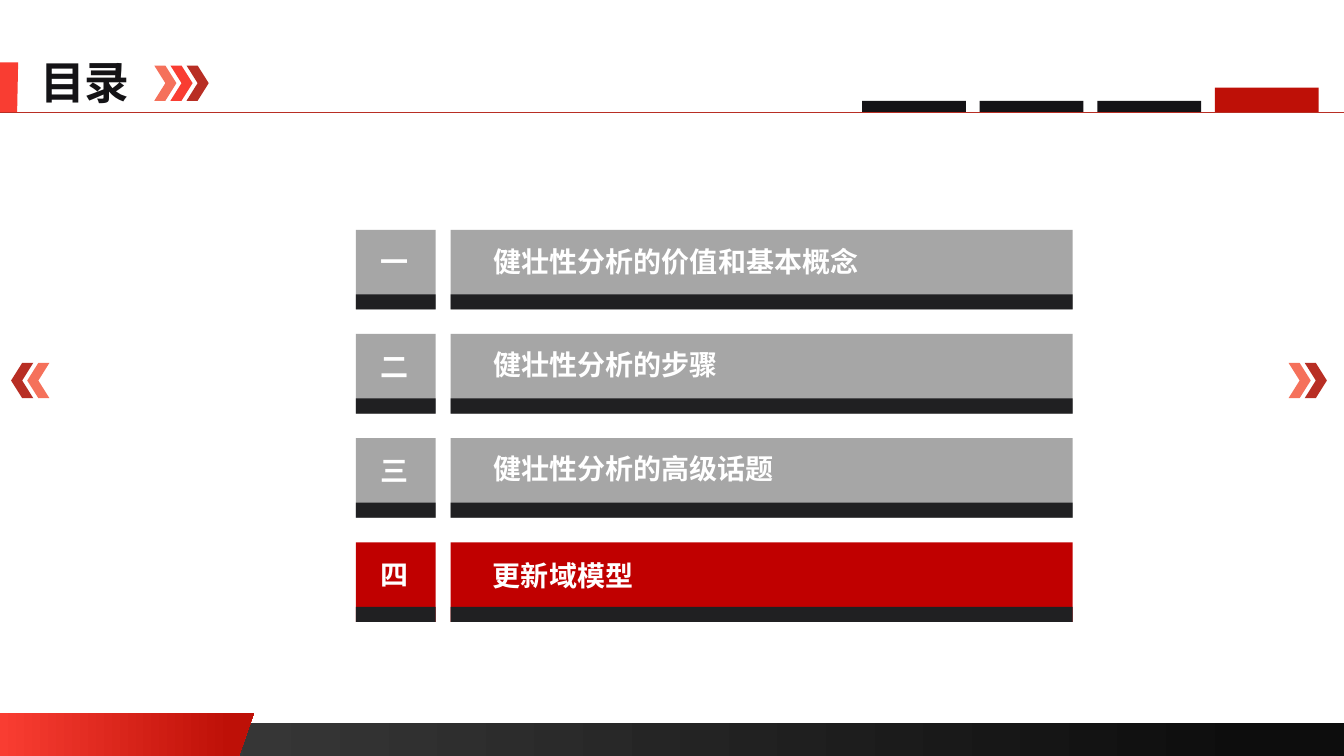
"""Build the contents slide with its fourth section highlighted."""
from dataclasses import dataclass

from lxml import etree
from pptx import Presentation
from pptx.dml.color import RGBColor
from pptx.enum.shapes import MSO_CONNECTOR, MSO_SHAPE
from pptx.enum.text import MSO_AUTO_SIZE, PP_ALIGN
from pptx.oxml.ns import qn
from pptx.util import Inches, Pt

RECTANGLE = MSO_SHAPE.RECTANGLE
CHEVRON = MSO_SHAPE.CHEVRON
STRAIGHT = MSO_CONNECTOR.STRAIGHT
CENTER = PP_ALIGN.CENTER
LEFT = PP_ALIGN.LEFT
GROW = MSO_AUTO_SIZE.SHAPE_TO_FIT_TEXT

FONT = "Noto Sans CJK SC"
PAGE_WIDTH, PAGE_HEIGHT = 13.33, 7.5
COLORS = {
    "white": "FFFFFF",
    "ink": "141316",
    "base": "202022",
    "gray": "A6A6A6",
    "active": "C00000",
    "coral": "F5715B",
    "red": "F93D32",
    "brick": "B82E24",
    "crimson": "BE1007",
    "charcoal": "404040",
    "black": "0D0D0D",
}


@dataclass(frozen=True)
class Section:
    number: str
    title: str
    title_top: float
    color: str = "gray"


@dataclass(frozen=True)
class ChevronRow:
    left: float
    top: float
    colors: tuple[str, ...]
    rotation: int = 0


SECTIONS = (
    Section("一", "健壮性分析的价值和基本概念", 2.38),
    Section("二", "健壮性分析的步骤", 3.4),
    Section("三", "健壮性分析的高级话题", 4.43),
    Section("四", "更新域模型", 5.49, "active"),
)
CHEVRON_ROWS = (
    ChevronRow(1.53, 0.65, ("coral", "red", "brick")),
    ChevronRow(12.78, 3.6, ("coral", "brick")),
    ChevronRow(0.11, 3.6, ("brick", "coral"), 180),
)
CHEVRON_STEP = 0.16
SECTION_TOP, SECTION_STEP = 2.28, 3.1 / 3
SECTION_COLUMNS = ((3.53, 0.79), (4.47, 6.17))
TAB_LEFT, TAB_STEP, TAB_WIDTH = 8.55, 3.5 / 3, 1.03
TAB_BOTTOM = 1.11


def rgb(name: str) -> RGBColor:
    """Return the named colour."""
    return RGBColor.from_string(COLORS[name])


def paint(shape, color: str) -> None:
    """Give a shape a plain fill without outline or shadow."""
    shape.shadow.inherit = False
    shape.line.fill.background()
    shape.fill.solid()
    shape.fill.fore_color.rgb = rgb(color)


def paint_gradient(shape, first: str, last: str, end: float) -> None:
    """Give a shape a left-to-right gradient that finishes at end."""
    paint(shape, first)
    shape.fill.gradient()
    shape.fill.gradient_angle = 0
    for stop, color, position in zip(shape.fill.gradient_stops, (first, last), (0, end)):
        stop.color.rgb = rgb(color)
        stop.position = position


def add_block(page, left: float, top: float, width: float, height: float,
              color: str, kind=RECTANGLE):
    """Add a filled preset shape."""
    block = page.shapes.add_shape(
        kind, Inches(left), Inches(top), Inches(width), Inches(height))
    paint(block, color)
    return block


def add_outline(page, points: tuple[tuple[float, float], ...], color: str):
    """Add a filled polygon."""
    corners = [(Inches(x), Inches(y)) for x, y in points]
    builder = page.shapes.build_freeform(*corners[0])
    builder.add_line_segments(corners[1:], close=True)
    outline = builder.convert_to_shape()
    paint(outline, color)
    return outline


def add_label(page, text: str, left: float, top: float, width: float, height: float,
              size: int = 20, color: str = "white", align=CENTER) -> None:
    """Add a bold single-line text box."""
    box = page.shapes.add_textbox(
        Inches(left), Inches(top), Inches(width), Inches(height))
    frame = box.text_frame
    frame.word_wrap = False
    frame.auto_size = GROW
    frame.text = text
    para = frame.paragraphs[0]
    para.alignment = align
    font = para.runs[0].font
    font.name = FONT
    font.size = Pt(size)
    font.bold = True
    font.color.rgb = rgb(color)
    latin = para.runs[0].font._element.find(qn("a:latin"))
    latin.addnext(etree.Element(qn("a:ea"), typeface=FONT))


def add_rule(page, top: float) -> None:
    """Add the thin line under the heading."""
    rule = page.shapes.add_connector(
        STRAIGHT, 0, Inches(top), Inches(PAGE_WIDTH), Inches(top))
    rule.line.color.rgb = rgb("brick")
    rule.line.width = Pt(0.5)
    etree.SubElement(rule._element.spPr, qn("a:effectLst"))


def add_chevrons(page, row: ChevronRow) -> None:
    """Add a row of overlapping chevrons."""
    for index, color in enumerate(row.colors):
        chevron = add_block(page, row.left + index * CHEVRON_STEP, row.top,
                            0.22, 0.35, color, CHEVRON)
        chevron.rotation = row.rotation


def add_section(page, index: int, section: Section) -> None:
    """Add one contents row with its number and title."""
    top = SECTION_TOP + index * SECTION_STEP
    for left, width in SECTION_COLUMNS:
        add_block(page, left, top, width, 0.79, section.color)
        add_block(page, left, top + 0.64, width, 0.15, "base")
    add_label(page, section.number, 3.67, top + 0.1, 0.48, 0.44)
    title_width = 0.21 + 0.28 * len(section.title)
    add_label(page, section.title, 4.78, section.title_top, title_width, 0.44)


def add_frame(page) -> None:
    """Add the footer band and the heading marker."""
    footer = add_block(page, 0, 7.17, PAGE_WIDTH, 0.33, "charcoal")
    paint_gradient(footer, "charcoal", "black", 0.94)
    accent = add_outline(
        page, ((0, 7.07), (2.52, 7.07), (2.37, PAGE_HEIGHT), (0, PAGE_HEIGHT)), "red")
    paint_gradient(accent, "red", "crimson", 0.91)
    add_outline(page, ((0, 0.62), (0.18, 0.62), (0.17, 1.12), (0, 1.12)), "red")


def main() -> None:
    """Build and save the deck."""
    deck = Presentation()
    deck.slide_width = Inches(PAGE_WIDTH)
    deck.slide_height = Inches(PAGE_HEIGHT)
    page = deck.slides.add_slide(deck.slide_layouts[6])
    add_frame(page)
    add_label(page, "目录", 0.3, 0.49, 1.1, 0.64, 32, "ink", LEFT)
    add_rule(page, TAB_BOTTOM)
    for row in CHEVRON_ROWS:
        add_chevrons(page, row)
    for index, section in enumerate(SECTIONS):
        active = section.color == "active"
        height, color = (0.24, "crimson") if active else (0.11, "ink")
        add_block(page, TAB_LEFT + index * TAB_STEP, TAB_BOTTOM - height,
                  TAB_WIDTH, height, color)
        add_section(page, index, section)
    deck.save("out.pptx")


if __name__ == "__main__":
    main()
